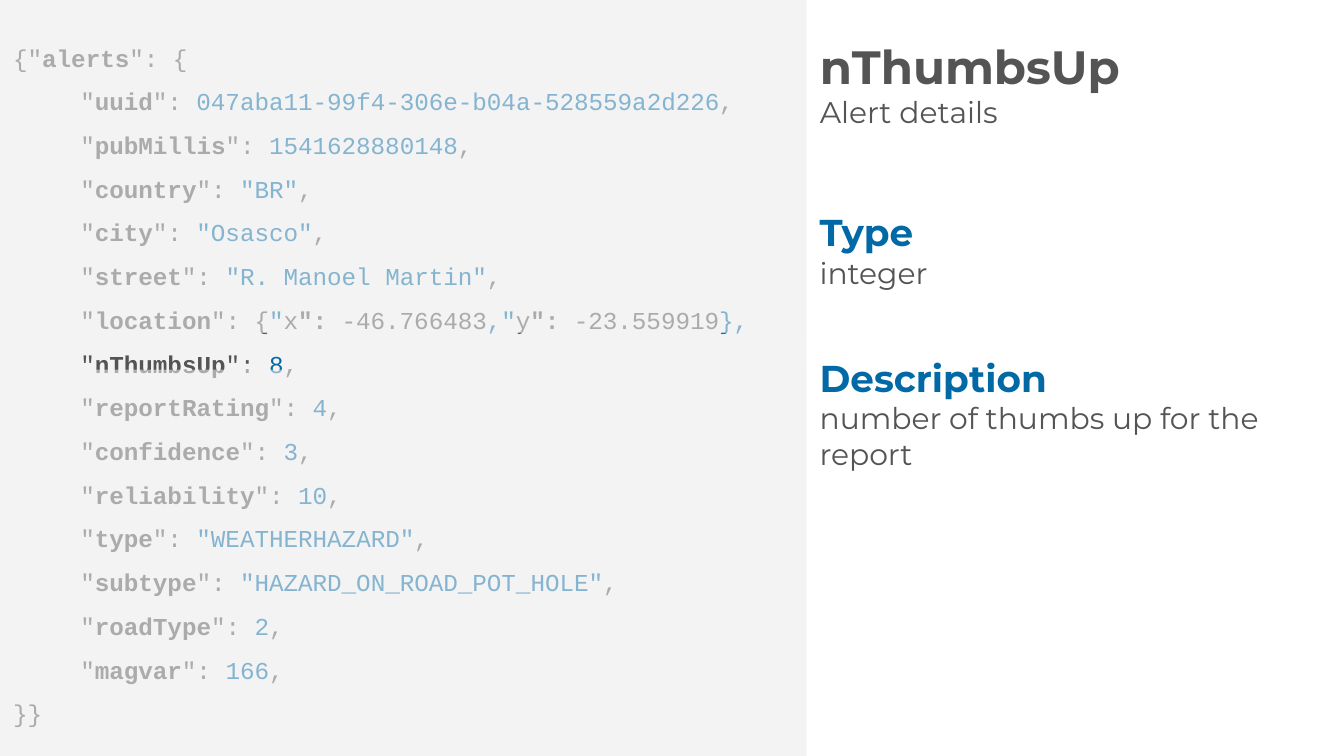
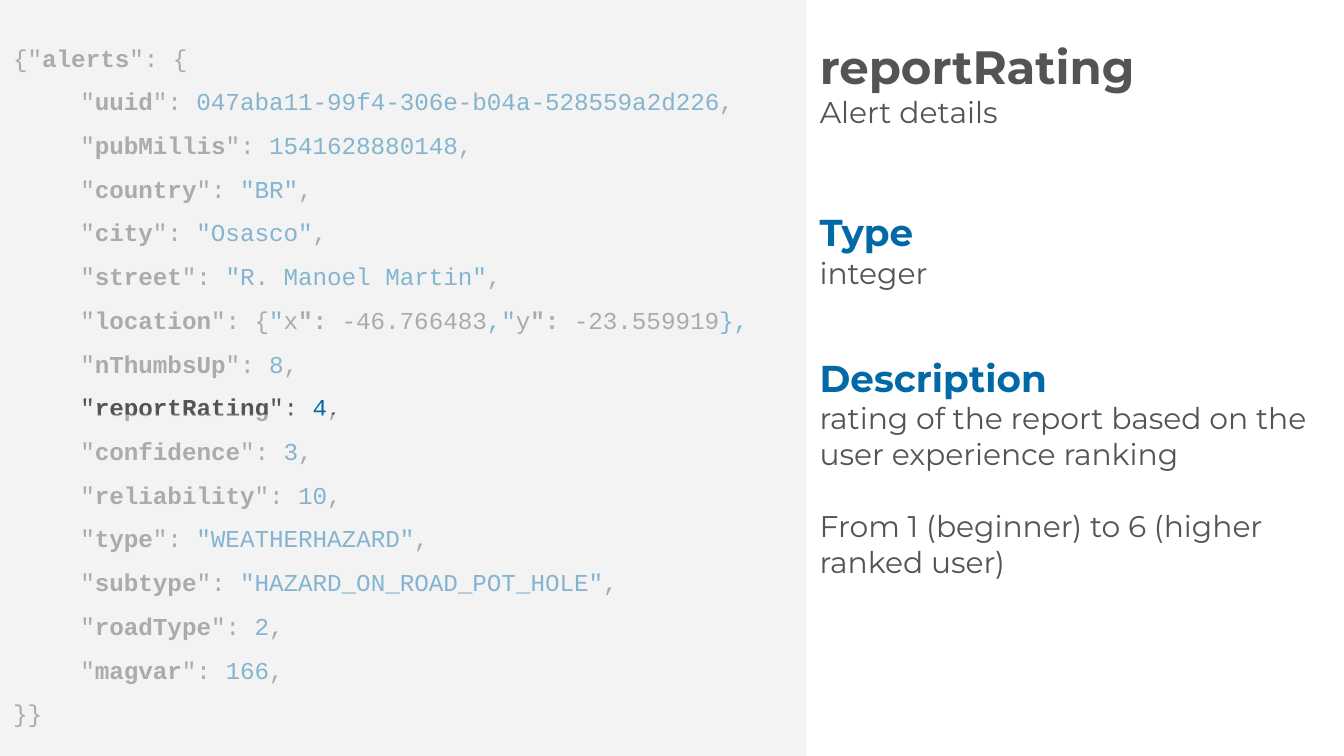
from collections import namedtuple
from dataclasses import dataclass
from itertools import cycle

from lxml import etree
from pptx import Presentation
from pptx import util as u
from pptx.dml.color import RGBColor
from pptx.enum import shapes, text
from pptx.oxml.ns import qn

WIDE = u.Inches(10)
HIGH = WIDE * 9 // 16
CELL = WIDE // 100
ROWS = HIGH / CELL


@dataclass(frozen=True)
class Theme:
    """Colours, fonts and type sizes that the slides share."""
    ink: str = "545454"
    blue: str = "0069A6"
    pale: str = "F3F3F3"
    sans: str = "Montserrat"
    mono: str = "Courier New"
    title: float = 25
    head: float = 20
    body: float = 16
    code: float = 13
    gap: float = 19.3
    veil: int = 55


THEME = Theme()
Box = namedtuple("Box", "left top wide high")
Field = namedtuple("Field", "name kind notes wide high row")

CODE = Box(0, 0, 60, ROWS)
SIDE = Box(60, 0, 40, ROWS)

FIELDS = {
    "uuid": "047aba11-99f4-306e-b04a-528559a2d226",
    "pubMillis": "1541628880148",
    "country": '"BR"',
    "city": '"Osasco"',
    "street": '"R. Manoel Martin"',
    "location": '|"|x|": |-46.766483|,"|y|": |-23.559919|}',
    "nThumbsUp": "8",
    "reportRating": "4",
    "confidence": "3",
    "reliability": "10",
    "type": '"WEATHERHAZARD"',
    "subtype": '"HAZARD_ON_ROAD_POT_HOLE"',
    "roadType": "2",
    "magvar": "166",
}

SLIDES = [
    Field("nThumbsUp", "integer",
          ["number of thumbs up for the report"], 37.8, 8.7, 0),
    Field("reportRating", "integer",
          ["rating of the report based on the user experience ranking",
           "From 1 (beginner) to 6 (higher ranked user)"], 38.6, 15.4, 1),
]


def place(box, left, top, wide, high):
    """Turn cells inside a box into slide lengths."""
    cells = (box.left + left, box.top + top, wide, high)
    return [round(cell * CELL) for cell in cells]


def style(font, face, size, color, bold=False):
    """Set a font's face, size, colour and weight."""
    font.name, font.size, font.bold = face, u.Pt(size), bold
    font.color.rgb = RGBColor.from_string(color)


def frame(shape, anchor):
    """Give a shape's text even insets, wrapping and an anchor."""
    body = shape.text_frame
    body.auto_size = text.MSO_AUTO_SIZE.NONE
    body.word_wrap = True
    body.vertical_anchor = anchor
    body.margin_left = body.margin_right = CELL
    body.margin_top = body.margin_bottom = CELL
    return body


def fill(body, lines):
    """Write left-aligned (words, size, colour, bold) paragraphs."""
    for i, (words, size, color, bold) in enumerate(lines):
        para = body.paragraphs[0] if i == 0 else body.add_paragraph()
        para.text = words
        para.alignment = text.PP_ALIGN.LEFT
        style(para.font, THEME.sans, size, color, bold)


def panel(slide, spot):
    """Add a plain pale rectangle."""
    rect = slide.shapes.add_shape(shapes.MSO_SHAPE.RECTANGLE, *spot)
    rect.shadow.inherit = False
    rect.fill.solid()
    rect.fill.fore_color.rgb = RGBColor.from_string(THEME.pale)
    rect.line.fill.background()
    return rect


def veil(slide, spot):
    """Add a see-through panel that dims the code below it."""
    rect = panel(slide, spot)
    color = next(rect.fill._xPr.iter(qn("a:srgbClr")))
    etree.SubElement(color, qn("a:alpha")).set("val", str(THEME.veil * 1000))


def code(slide, box):
    """Show the alert record as lines of code."""
    rect = panel(slide, place(box, 0, 0, box.wide, box.high))
    body = frame(rect, text.MSO_ANCHOR.MIDDLE)
    inner = []
    for key, value in FIELDS.items():
        mark = "{" if value.startswith("|") else "|"
        inner.append(f'"|{key}|": {mark}{value}' + ("," if mark == "{" else "|,"))
    lines = ['{"|alerts|": {', *inner, "}}"]
    for i, line in enumerate(lines):
        para = body.paragraphs[0] if i == 0 else body.add_paragraph()
        para.alignment = text.PP_ALIGN.LEFT
        para.line_spacing = 1.5
        if line in inner:
            para._p.get_or_add_pPr().set("marL", str(5 * CELL))
        style(para.font, THEME.mono, THEME.code, THEME.ink)
        for part, role in zip(line.split("|"), cycle(["mark", "key", "mark", "value"])):
            if part:
                run = para.add_run()
                run.text = part
                color = THEME.blue if role == "value" else THEME.ink
                style(run.font, THEME.mono, THEME.code, color, role == "key")


def dim(slide, box, row):
    """Dim the code above and below the row in focus."""
    tall, slot, step = 50.5, 2.7, 3.35
    top = 24.8 + row * step
    for edge in (top - tall, top + slot):
        veil(slide, place(box, 0, edge, box.wide, tall))


def title(slide, box, name):
    """Fill the title with the field's name and its group."""
    head = slide.shapes.title
    head.left, head.top, head.width, head.height = place(box, 0, 1.6, box.wide, 9.2)
    fill(frame(head, text.MSO_ANCHOR.MIDDLE),
         [(name, THEME.title, THEME.ink, True),
          ("Alert details", THEME.body, THEME.ink, False)])


def note(slide, box, top, label, words, wide, high):
    """Add a blue label with its text below."""
    parts = [(top, 19.3, 5, [(label, THEME.head, THEME.blue, True)]),
             (top + 3.35, wide, high,
              [(line, THEME.body, THEME.ink, False) for line in words])]
    for y, w, h, lines in parts:
        area = slide.shapes.add_textbox(*place(box, 0, y, w, h))
        body = frame(area, text.MSO_ANCHOR.TOP)
        fill(body, lines)
        for para in body.paragraphs[1:]:
            para.space_before = u.Pt(THEME.gap)


def detail(deck, field):
    """Build a slide that explains one field of the alert."""
    slide = deck.slides.add_slide(deck.slide_layouts[5])
    code(slide, CODE)
    dim(slide, CODE, field.row)
    title(slide, SIDE, field.name)
    note(slide, SIDE, 14.6, "Type", [field.kind], 36, 8.7)
    note(slide, SIDE, 25.4, "Description", field.notes, field.wide, field.high)


def main():
    """Build the deck and save it."""
    deck = Presentation()
    deck.slide_width, deck.slide_height = WIDE, HIGH
    for field in SLIDES:
        detail(deck, field)
    deck.save("out.pptx")


if __name__ == "__main__":
    main()
